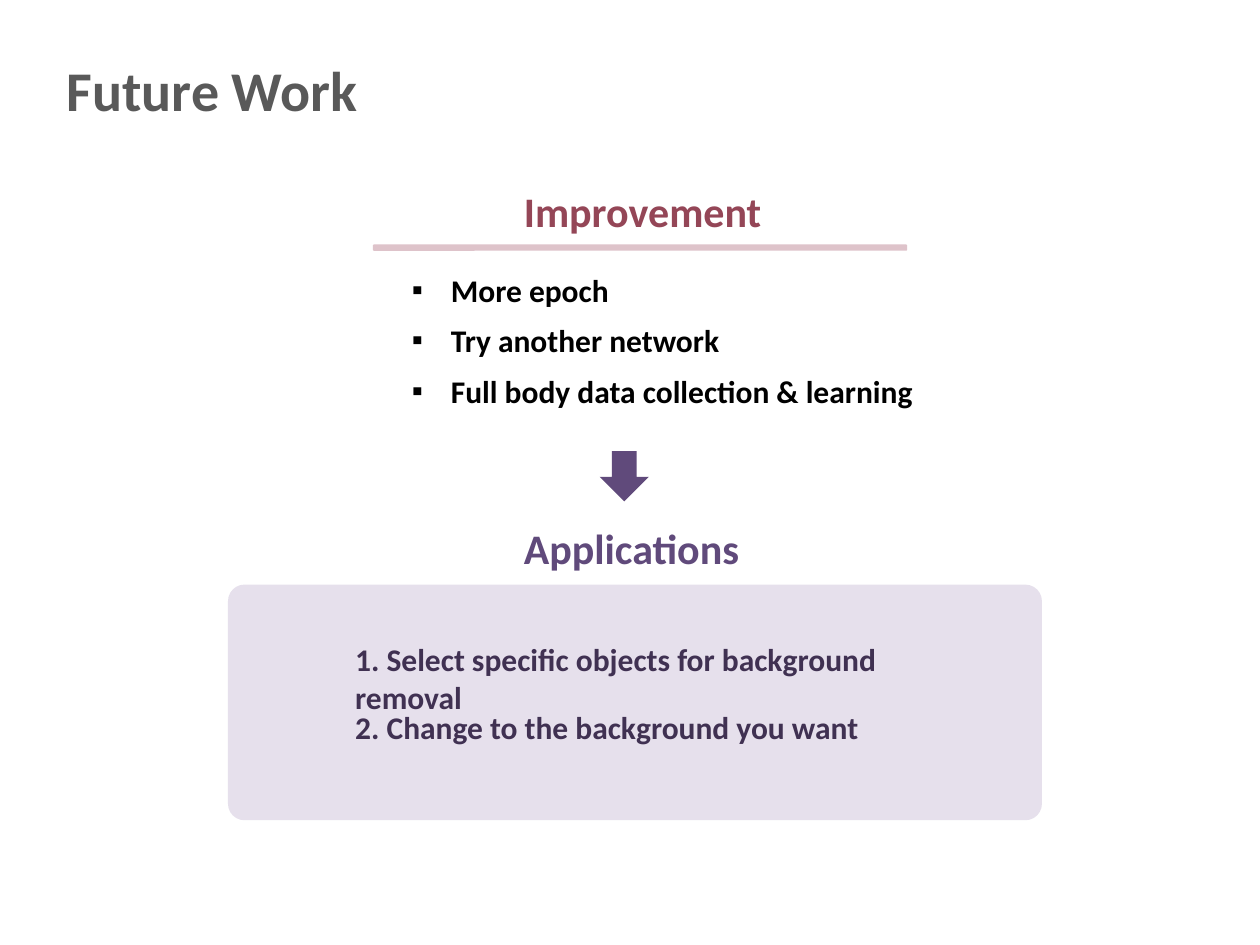
from lxml.etree import SubElement
from pptx import Presentation
from pptx.dml.color import RGBColor
from pptx.enum.shapes import MSO_SHAPE as SHAPE
from pptx.enum.text import MSO_ANCHOR as ANCHOR
from pptx.oxml.ns import qn
from pptx.util import Inches, Pt

COLORS = {
    "title": "595959",
    "improvement": "944657",
    "rule": "DEC3CA",
    "body": "000000",
    "purple": "604A7B",
    "panel": "E6E0EC",
    "dark_purple": "403152",
}


def add_text(text, left, top, width, height, size, color, bullet=None):
    box = slide.shapes.add_textbox(*map(Inches, (left, top, width, height)))
    frame = box.text_frame
    frame.word_wrap = True
    frame.text = text
    paragraph = frame.paragraphs[0]
    if bullet:
        properties = paragraph._p.get_or_add_pPr()
        properties.set("marL", str(Inches(0.31)))
        properties.set("indent", str(Inches(-0.31)))
        SubElement(properties, qn("a:buFont")).set("typeface", "Arial")
        SubElement(properties, qn("a:buChar")).set("char", bullet)
    font = paragraph.runs[0].font
    font.name = "Calibri"
    font.size = Pt(size)
    font.bold = True
    font.color.rgb = RGBColor.from_string(COLORS[color])
    return frame


def add_filled(kind, left, top, width, height, color):
    shape = slide.shapes.add_shape(kind, *map(Inches, (left, top, width, height)))
    shape.shadow.inherit = False
    shape.fill.solid()
    shape.fill.fore_color.rgb = RGBColor.from_string(COLORS[color])
    shape.line.fill.background()
    return shape


prs = Presentation()
prs.slide_width, prs.slide_height = Inches(10), Inches(7.5)
slide = prs.slides.add_slide(prs.slide_layouts[6])

title = add_text("Future Work", 0.43, 0.27, 8.38, 0.87, 32, "title")
title.vertical_anchor = ANCHOR.MIDDLE

# Improvement
add_text("Improvement", 4.06, 1.42, 2.86, 0.51, 24, "improvement")
add_filled(SHAPE.ROUNDED_RECTANGLE, 2.96, 1.94, 4.24, 0.05, "rule")
improvements = [
    ("More epoch", 1.97),
    ("Try another network", 2.87),
    ("Full body data collection & learning", 4.41),
]
for row, (improvement, width) in enumerate(improvements):
    add_text(improvement, 3.17, 2.1 + 0.4 * row, width, 0.4, 18, "body", bullet="▪")

add_filled(SHAPE.DOWN_ARROW, 4.76, 3.58, 0.39, 0.4, "purple")

# Applications
add_text("Applications", 4.06, 4.1, 1.97, 0.5, 24, "purple")
panel = add_filled(SHAPE.ROUNDED_RECTANGLE, 1.81, 4.64, 6.46, 1.87, "panel")
panel.adjustments[0] = 0.07
applications = [
    "1. Select specific objects for background removal",
    "2. Change to the background you want",
]
for row, application in enumerate(applications):
    add_text(application, 2.72, 5.03 + 0.54 * row, 5.22, 0.4, 18, "dark_purple")

prs.save("out.pptx")
